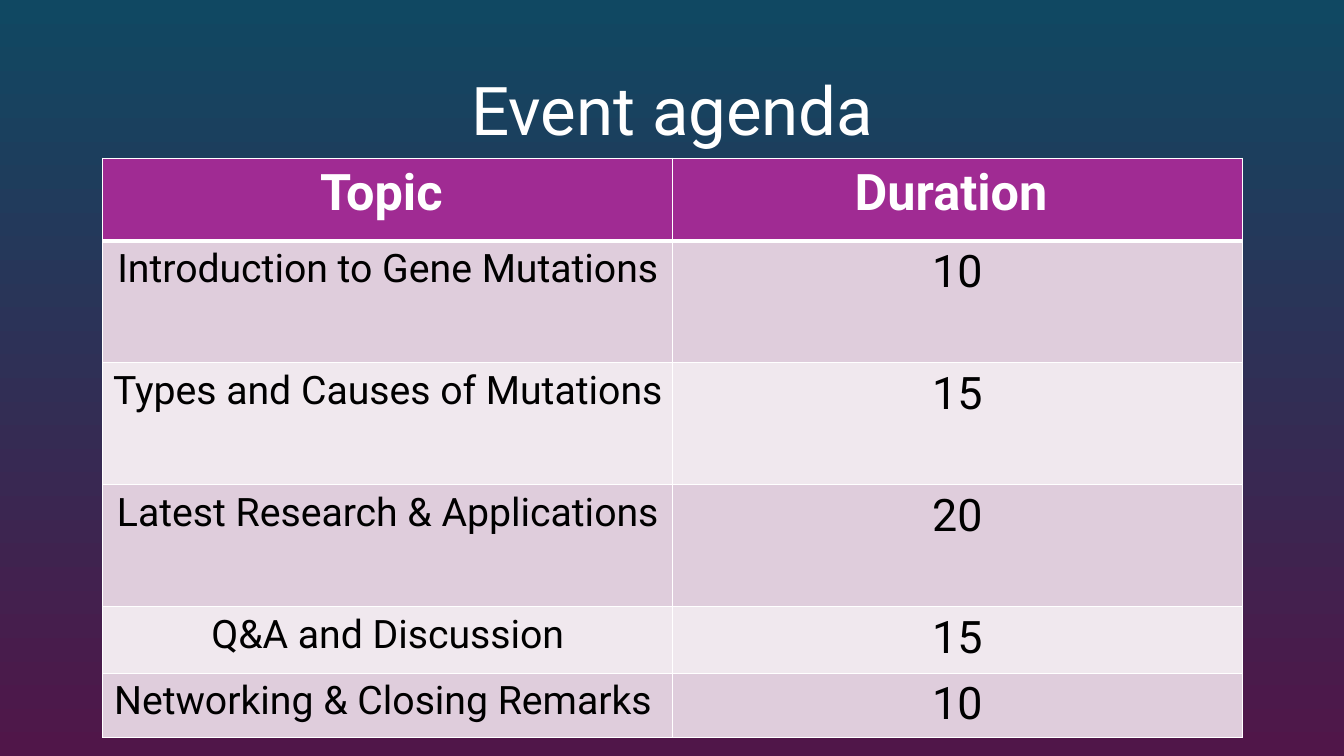
from lxml import etree
from pptx import Presentation
from pptx.dml.color import RGBColor
from pptx.enum.text import MSO_ANCHOR, PP_ALIGN
from pptx.oxml.ns import qn
from pptx.util import Inches, Pt


def color(hex_text):
    return RGBColor.from_string(hex_text)


def add_text(frame, text, size, hex_text, bold=False):
    para = frame.paragraphs[0]
    para.alignment = PP_ALIGN.CENTER
    span = para.add_run()
    span.text = text
    span.font.name = "Roboto"
    span.font.size = Pt(size)
    span.font.bold = bold
    span.font.color.rgb = color(hex_text)
    return para


deck = Presentation()
deck.slide_width = Inches(13.33)
deck.slide_height = Inches(7.5)
page = deck.slides.add_slide(deck.slide_layouts[6])

backdrop = page.background.fill
backdrop.gradient()
backdrop.gradient_angle = 270
for stop, shade, position in zip(backdrop.gradient_stops, ("104862", "501649"), (0, 1)):
    stop.color.rgb = color(shade)
    stop.position = position

title_box = page.shapes.add_textbox(Inches(0.92), Inches(0.4), Inches(11.5), Inches(1.45))
title_frame = title_box.text_frame
title_frame.word_wrap = True
title_frame.vertical_anchor = MSO_ANCHOR.MIDDLE
title_para = add_text(title_frame, "Event agenda", 48, "FFFFFF")
title_para.line_spacing = 0.9

agenda = [
    ("Topic ", "Duration ", 0.82),
    ("Introduction to Gene Mutations ", "10", 1.21),
    ("Types and Causes of Mutations", "15", 1.21),
    ("Latest Research & Applications", "20", 1.21),
    ("Q&A and Discussion", "15", 0.66),
    ("Networking & Closing Remarks ", "10", 0.48),
]
column_width = 5.65
table = page.shapes.add_table(
    len(agenda), 2, Inches(1.02), Inches(1.57), Inches(2 * column_width), Inches(5.75)
).table
for column in table.columns:
    column.width = Inches(column_width)

for row_index, (topic, duration, height) in enumerate(agenda):
    table.rows[row_index].height = Inches(height)
    header = row_index == 0
    band = "A02B93" if header else ("F0E8EE", "DFCDDC")[row_index % 2]
    for column_index, text in enumerate((topic, duration)):
        cell = table.cell(row_index, column_index)
        cell.fill.solid()
        cell.fill.fore_color.rgb = color(band)
        size = 36 if header else (28, 32)[column_index]
        add_text(cell.text_frame, text, size, "FFFFFF" if header else "000000", header)

        properties = cell._tc.get_or_add_tcPr()
        for order, side in enumerate(("lnL", "lnR", "lnT", "lnB")):
            below_header = (row_index, side) in ((0, "lnB"), (1, "lnT"))
            border = etree.Element(qn(f"a:{side}"), w=str(Pt(3 if below_header else 1)))
            border_fill = etree.SubElement(border, qn("a:solidFill"))
            etree.SubElement(border_fill, qn("a:srgbClr"), val="FFFFFF")
            properties.insert(order, border)

deck.save("out.pptx")
